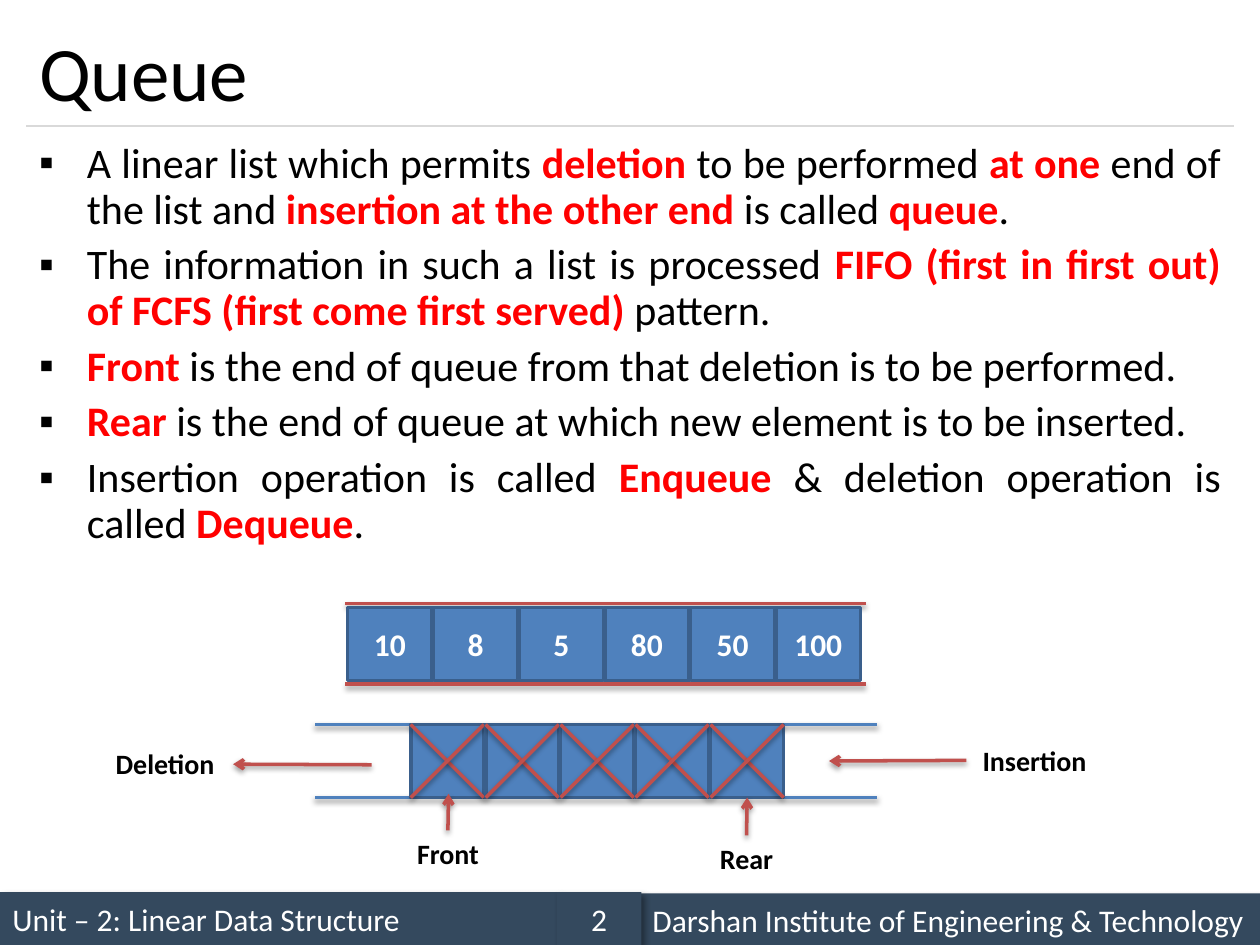
"""Build the slide that introduces the queue data structure."""
from dataclasses import dataclass
from typing import Optional

import lxml.etree
import pptx
import pptx.dml.color
import pptx.enum.shapes
import pptx.enum.text
import pptx.oxml.ns
import pptx.util
from pptx.util import Inches

BLACK = pptx.dml.color.RGBColor(0x00, 0x00, 0x00)
WHITE = pptx.dml.color.RGBColor(0xFF, 0xFF, 0xFF)
RED = pptx.dml.color.RGBColor(0xFF, 0x00, 0x00)
NAVY = pptx.dml.color.RGBColor(0x34, 0x49, 0x5E)
BLUE = pptx.dml.color.RGBColor(0x4F, 0x81, 0xBD)
EDGE = pptx.dml.color.RGBColor(0x3A, 0x5F, 0x8C)
BRICK = pptx.dml.color.RGBColor(0xC0, 0x50, 0x4D)
GREY = pptx.dml.color.RGBColor(0xD9, 0xD9, 0xD9)
FONT = "Calibri"
ALIGN = pptx.enum.text.PP_ALIGN
ANCHOR = pptx.enum.text.MSO_ANCHOR
FIT = pptx.enum.text.MSO_AUTO_SIZE


@dataclass
class Area:
    left: float
    top: float
    width: float
    height: float

    def lengths(self) -> list:
        return [Inches(n) for n in (self.left, self.top, self.width, self.height)]


@dataclass
class Shadow:
    opacity: int
    blur: float
    distance: float
    angle: int


@dataclass
class Footer:
    text: str
    area: Area
    align: ALIGN


LINE_SHADOW = Shadow(38, 3.1, 1.6, 90)
FOOTER_SHADOW = Shadow(40, 4, 3, 45)
FOOTERS = [
    Footer("Unit – 2: Linear Data Structure", Area(0, 7.08, 4.42, 0.42), ALIGN.LEFT),
    Footer("Darshan Institute of Engineering & Technology",
           Area(5.08, 7.09, 4.92, 0.42), ALIGN.LEFT),
    Footer("2", Area(4.42, 7.08, 0.67, 0.42), ALIGN.CENTER),
]
POINTS = [
    "A linear list which permits |deletion |to be performed |at one |end of the list and "
    "|insertion at the other end |is called |queue|.",
    "The information in such a list is processed "
    "|FIFO (first in first out) of FCFS (first come first served) |pattern.",
    "|Front |is the end of queue from that deletion is to be performed.",
    "|Rear |is the end of queue at which new element is to be inserted.",
    "Insertion operation is called |Enqueue |& deletion operation is called |Dequeue|.",
]
LABELS = {
    "Rear": Area(5.59, 6.63, 0.67, 0.37),
    "Front": Area(3.18, 6.59, 0.75, 0.37),
    "Insertion": Area(7.67, 5.85, 1.08, 0.37),
    "Deletion": Area(0.77, 5.88, 1.08, 0.37),
}


def add_element(parent, tag: str, **attributes: str):
    return lxml.etree.SubElement(parent, pptx.oxml.ns.qn(tag), attributes)


def style_font(font, size: float, color, bold: bool = False) -> None:
    font.name, font.size, font.bold = FONT, pptx.util.Pt(size), bold
    font.color.rgb = color


def write(shape, text: str, size: float, color, align, bold: bool = False) -> None:
    shape.text_frame.text = text
    para = shape.text_frame.paragraphs[0]
    para.alignment = align
    style_font(para.runs[0].font, size, color, bold)


def cast_shadow(effects, shadow: Shadow) -> None:
    outer = add_element(effects, "a:outerShdw", blurRad=str(pptx.util.Pt(shadow.blur)),
                        dist=str(pptx.util.Pt(shadow.distance)),
                        dir=str(shadow.angle * 60000), algn="ctr", rotWithShape="0")
    color = add_element(outer, "a:srgbClr", val=str(BLACK))
    add_element(color, "a:alpha", val=str(shadow.opacity * 1000))


def add_box(page, area: Area, fill, edge=None):
    box = page.shapes.add_shape(pptx.enum.shapes.MSO_SHAPE.RECTANGLE, *area.lengths())
    box.shadow.inherit = False
    box.fill.solid()
    box.fill.fore_color.rgb = fill
    if edge is None:
        box.line.fill.background()
    else:
        box.line.color.rgb = edge
        box.line.width = pptx.util.Pt(2)
    return box


def add_line(page, start: tuple, end: tuple, color, width: float = 2, arrow: bool = False,
             shadow: Optional[Shadow] = LINE_SHADOW):
    line = page.shapes.add_connector(pptx.enum.shapes.MSO_CONNECTOR.STRAIGHT,
                                     *[Inches(n) for n in (*start, *end)])
    line.line.color.rgb = color
    line.line.width = pptx.util.Pt(width)
    properties = line.element.spPr
    if arrow:
        add_element(properties.find(pptx.oxml.ns.qn("a:ln")), "a:tailEnd", type="arrow")
    effects = add_element(properties, "a:effectLst")
    if shadow:
        cast_shadow(effects, shadow)
    return line


def add_label(page, text: str, area: Area):
    label = page.shapes.add_textbox(*area.lengths())
    label.text_frame.word_wrap = False
    label.text_frame.auto_size = FIT.SHAPE_TO_FIT_TEXT
    write(label, text, 16, BLACK, ALIGN.CENTER, True)
    return label


def place(shape, area: Area) -> None:
    shape.left, shape.top, shape.width, shape.height = area.lengths()
    shape.text_frame.auto_size = FIT.NONE


def add_point(para, text: str, first: bool) -> None:
    properties = para._p.get_or_add_pPr()
    properties.set("marL", str(Inches(0.38)))
    properties.set("indent", str(-Inches(0.38)))
    add_element(add_element(properties, "a:buClr"), "a:srgbClr", val=str(BLACK))
    add_element(properties, "a:buChar", char="▪")
    para.alignment = ALIGN.JUSTIFY
    para.line_spacing = 0.9
    para.space_before = pptx.util.Pt(0 if first else 6)
    for index, part in enumerate(text.split("|")):
        if part:
            span = para.add_run()
            span.text = part
            strong = index % 2 == 1
            style_font(span.font, 24, RED if strong else BLACK, strong)


def add_text(page) -> None:
    title, body = page.placeholders[0], page.placeholders[1]
    place(title, Area(0.21, 0.12, 9.58, 0.88))
    title.text_frame.vertical_anchor = ANCHOR.MIDDLE
    write(title, "Queue", 44, BLACK, ALIGN.LEFT)
    place(body, Area(0.21, 1.08, 9.58, 3.5))
    frame = body.text_frame
    for index, text in enumerate(POINTS):
        para = frame.add_paragraph() if index else frame.paragraphs[0]
        add_point(para, text, index == 0)


def add_footers(page) -> None:
    for footer in FOOTERS:
        box = add_box(page, footer.area, NAVY)
        cast_shadow(box.element.spPr.find(pptx.oxml.ns.qn("a:effectLst")), FOOTER_SHADOW)
        write(box, footer.text, 18, WHITE, footer.align)


def add_rails(page, left: float, right: float, heights: tuple, color) -> None:
    for height in heights:
        add_line(page, (left, height), (right, height), color)


def add_values(page) -> None:
    add_rails(page, 2.74, 6.87, (4.79, 5.43), BRICK)
    for index, value in enumerate((10, 8, 5, 80, 50, 100)):
        cell = add_box(page, Area(2.76 + 0.68 * index, 4.82, 0.67, 0.58), BLUE, EDGE)
        write(cell, str(value), 18, WHITE, ALIGN.CENTER, True)


def add_queue(page) -> None:
    top, bottom, size = 5.75, 6.33, 0.58
    add_rails(page, 2.5, 6.96, (top, bottom), BLUE)
    for index in range(5):
        left = 3.26 + (5.64 - 3.26) / 4 * index
        cell = add_box(page, Area(left, top, size, size), BLUE, EDGE)
        add_line(page, (left, top), (left + size, bottom), BRICK)
        add_line(page, (left, bottom), (left + size, top), BRICK)
    labels = {text: add_label(page, text, area) for text, area in LABELS.items()}
    rear = add_line(page, (5.93, 6.63), (5.93, bottom), BRICK, arrow=True)
    rear.begin_connect(labels["Rear"], 0)
    rear.end_connect(cell, 2)
    front = add_line(page, (3.56, 6.59), (3.56, 6.3), BRICK, arrow=True)
    front.begin_connect(labels["Front"], 0)
    insertion = add_line(page, (7.67, 6.04), (6.58, 6.04), BRICK, arrow=True)
    insertion.begin_connect(labels["Insertion"], 1)
    deletion = add_line(page, (2.95, 6.07), (1.86, 6.07), BRICK, arrow=True)
    deletion.end_connect(labels["Deletion"], 3)


def main() -> None:
    deck = pptx.Presentation()
    deck.slide_width, deck.slide_height = Inches(10), Inches(7.5)
    page = deck.slides.add_slide(deck.slide_layouts[1])
    add_footers(page)
    add_line(page, (0.21, 1), (9.79, 1), GREY, 0.75, shadow=None)
    add_text(page)
    add_values(page)
    add_queue(page)
    deck.save("out.pptx")


if __name__ == "__main__":
    main()
